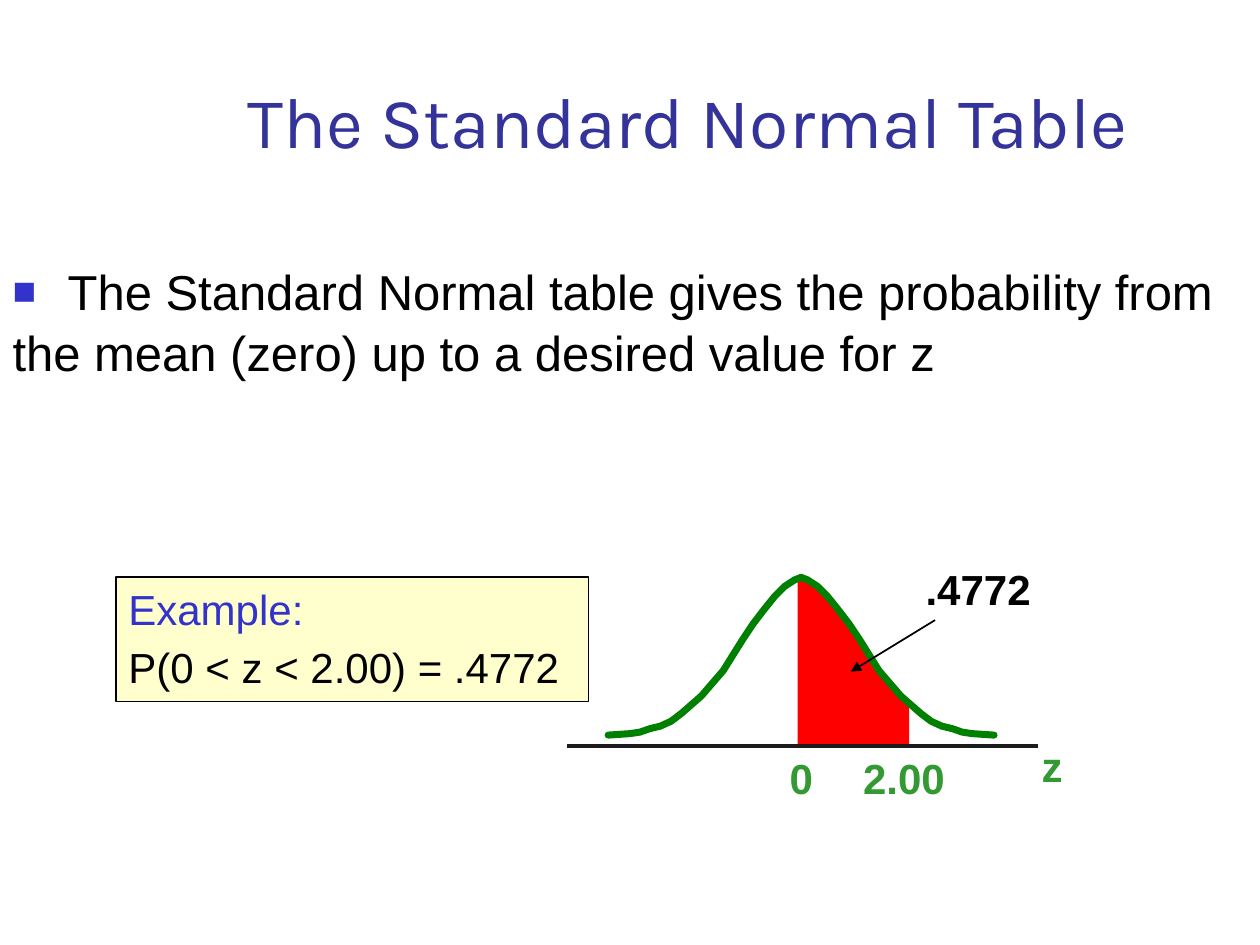
from dataclasses import dataclass

from lxml.etree import SubElement
from pptx import Presentation
from pptx.dml.color import RGBColor
from pptx.enum.shapes import MSO_CONNECTOR as Connector, MSO_SHAPE as Shape
from pptx.enum.text import MSO_ANCHOR as Anchor, MSO_AUTO_SIZE as AutoSize, PP_ALIGN as Align
from pptx.oxml.ns import qn
from pptx.util import Cm, Pt


@dataclass(frozen=True)
class Theme:
    heading_font: str = "Karla"
    text_font: str = "Arial"
    title_size: int = 41
    body_size: int = 28
    label_size: int = 24
    title: str = "333399"
    accent: str = "3333CC"
    text: str = "000000"
    axis_label: str = "339933"
    curve: str = "008000"
    area: str = "FF0000"
    axis: str = "1C1C1C"
    panel: str = "FFFFCD"


THEME = Theme()

# Left half of the bell, tail to peak: (distance from centre, drop below peak) in cm
BELL = [(3.89, 3.18), (3.45, 3.15), (3.25, 3.12), (3.05, 3.05), (2.84, 3.0),
        (2.62, 2.9), (2.41, 2.74), (2.01, 2.39), (1.57, 1.88), (1.17, 1.24),
        (0.97, 0.94), (0.74, 0.64), (0.53, 0.38), (0.33, 0.18), (0.13, 0.05), (0, 0)]


def color(value):
    return RGBColor.from_string(value)


def place(shape, box):
    shape.left, shape.top, shape.width, shape.height = (Cm(length) for length in box)


def add_run(paragraph, text, size, fill, font=THEME.text_font, bold=False):
    run = paragraph.add_run()
    run.text = text
    run.font.name, run.font.size, run.font.bold = font, Pt(size), bold
    run.font.color.rgb = color(fill)


def style_line(shape, fill, width):
    shape.line.color.rgb = color(fill)
    shape.line.width = Pt(width)
    return shape._element.spPr.find(qn("a:ln"))


def add_title(slide, box):
    title = slide.shapes.title
    place(title, box)
    frame = title.text_frame
    frame.auto_size, frame.vertical_anchor = AutoSize.NONE, Anchor.BOTTOM
    paragraph = frame.paragraphs[0]
    paragraph.alignment = Align.CENTER
    add_run(paragraph, "The Standard Normal Table", THEME.title_size, THEME.title,
            THEME.heading_font)


def add_body(slide, box):
    body = slide.placeholders[1]
    place(body, box)
    body.text_frame.auto_size = AutoSize.NONE
    paragraph = body.text_frame.paragraphs[0]
    paragraph.space_before, paragraph.line_spacing = Pt(0), 1.05

    # Square bullet, with a tab stop setting the gap to the text
    properties = paragraph._p.get_or_add_pPr()
    properties.set("marL", "0")
    properties.set("indent", "0")
    bullet_color = SubElement(properties, qn("a:buClr"))
    SubElement(bullet_color, qn("a:srgbClr"), val=THEME.accent)
    SubElement(properties, qn("a:buSzPct"), val="80000")
    SubElement(properties, qn("a:buFont"), typeface=THEME.text_font)
    SubElement(properties, qn("a:buChar"), char="■")
    tabs = SubElement(properties, qn("a:tabLst"))
    SubElement(tabs, qn("a:tab"), pos=str(Cm(1.11)), algn="l")
    add_run(paragraph, "\tThe Standard Normal table gives the probability from "
            "the mean (zero) up to a desired value for z", THEME.body_size, THEME.text)


def add_example(slide, box):
    panel = slide.shapes.add_shape(Shape.RECTANGLE, *(Cm(length) for length in box))
    panel.shadow.inherit = False
    panel.fill.solid()
    panel.fill.fore_color.rgb = color(THEME.panel)
    style_line(panel, THEME.text, 0.75)
    frame = panel.text_frame
    frame.word_wrap, frame.vertical_anchor = True, Anchor.TOP
    heading, formula = frame.paragraphs[0], frame.add_paragraph()
    formula.space_before = Pt(4.8)
    for paragraph, text, fill in ((heading, "Example:", THEME.accent),
                                  (formula, "P(0 < z < 2.00) = .4772", THEME.text)):
        paragraph.alignment = Align.LEFT
        add_run(paragraph, text, THEME.label_size, fill)


def add_bell_chart(slide, box):
    left, top, width, height = box
    center, peak, baseline = left + 4.72, top + 0.41, top + 3.81

    def outline(points, close):
        points = [(Cm(x), Cm(y)) for x, y in points]
        builder = slide.shapes.build_freeform(*points[0])
        builder.add_line_segments(points[1:], close=close)
        shape = builder.convert_to_shape()
        shape.shadow.inherit = False
        return shape

    def line(start, end, fill, weight):
        connector = slide.shapes.add_connector(
            Connector.STRAIGHT, *(Cm(length) for length in (*start, *end)))
        outline_xml = style_line(connector, fill, weight)
        SubElement(connector._element.spPr, qn("a:effectLst"))
        return outline_xml

    # Shaded area between the mean and z = 2.00
    mean, limit = center - 0.07, center + 2.18
    slope = [(center + x, peak + y) for x, y in reversed(BELL) if x < 2.18]
    area = outline([(mean, baseline), (mean, peak), *slope,
                    (limit, peak + 2.54), (limit, baseline)], close=True)
    area.fill.solid()
    area.fill.fore_color.rgb = color(THEME.area)
    area.line.fill.background()

    # Two mirrored halves of the curve
    for side in (-1, 1):
        half = outline([(center + side * x, peak + y) for x, y in BELL], close=False)
        half.fill.background()
        style_line(half, THEME.curve, 4).set("cap", "rnd")

    # Axis, and the arrow into the area
    line((left, baseline), (left + 9.5, baseline), THEME.axis, 2)
    arrow = line((left + 7.42, top + 1.27), (left + 5.72, top + 2.31), THEME.text, 1)
    SubElement(arrow, qn("a:tailEnd"), type="triangle")

    # Labels: text, offset from the chart's corner, width, colour
    for text, x, y, label_width, fill in (
            ("z", 9.32, 3.58, 0.92, THEME.axis_label),
            ("0", 4.24, 3.81, 1.32, THEME.axis_label),
            ("2.00", 5.72, 3.81, 2.74, THEME.axis_label),
            (".4772", 6.98, 0, 2.74, THEME.text)):
        label = slide.shapes.add_textbox(Cm(left + x), Cm(top + y), Cm(label_width), Cm(1.27))
        label.text_frame.word_wrap = True
        add_run(label.text_frame.paragraphs[0], text, THEME.label_size, fill, bold=True)


def main():
    presentation = Presentation()
    presentation.slide_width, presentation.slide_height = Cm(25.4), Cm(19.05)
    slide = presentation.slides.add_slide(presentation.slide_layouts[1])
    add_title(slide, (4.45, 1.07, 18.85, 2.34))
    add_body(slide, (0, 5.08, 25.4, 5.51))
    add_bell_chart(slide, (11.43, 11.23, 10.24, 5.08))
    add_example(slide, (2.34, 11.63, 9.53, 2.51))
    presentation.save("out.pptx")


if __name__ == "__main__":
    main()
